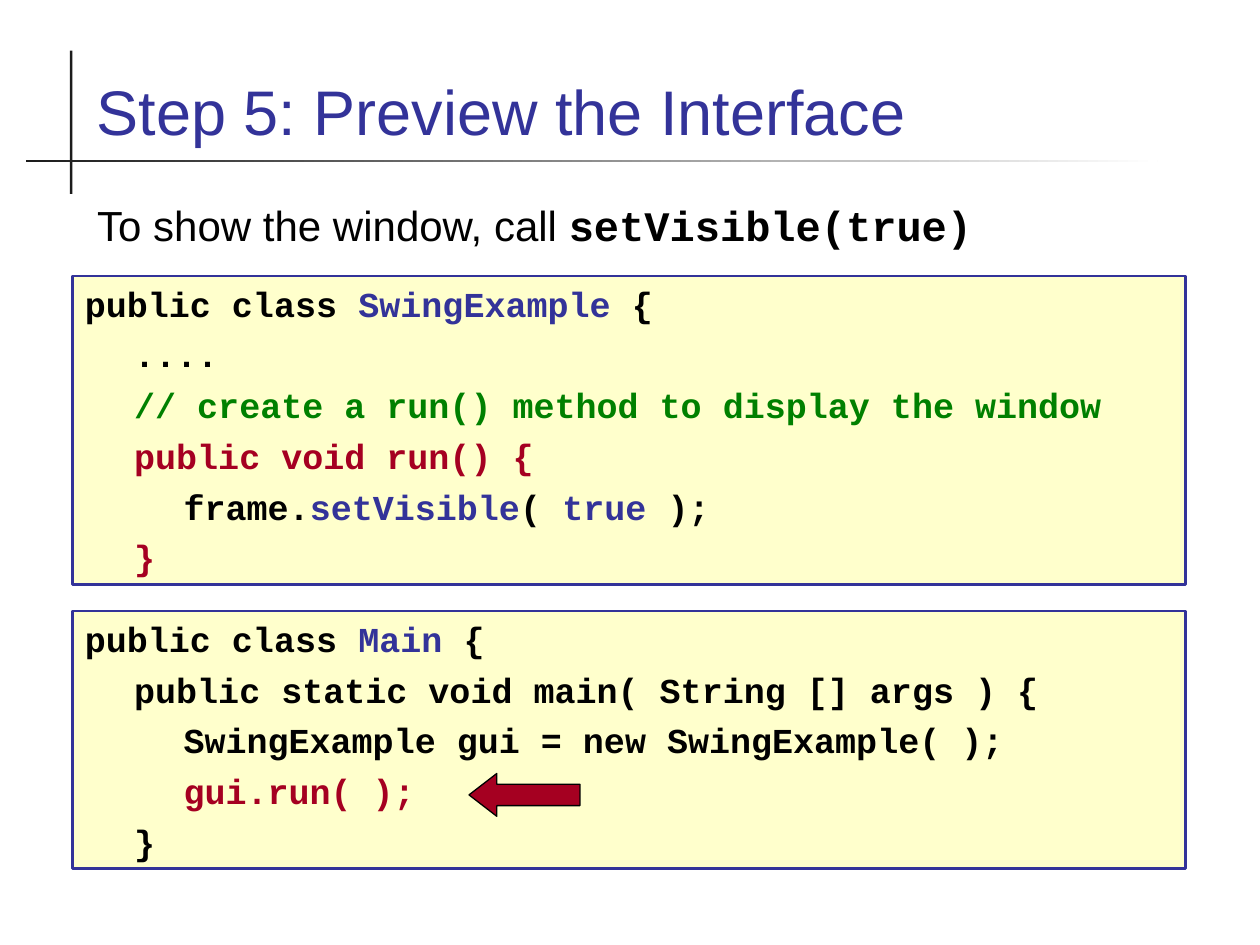
from dataclasses import dataclass

from pptx import Presentation
from pptx.dml.color import RGBColor
from pptx.enum.shapes import MSO_SHAPE
from pptx.enum.text import MSO_ANCHOR, PP_ALIGN
from pptx.util import Pt

RECTANGLE = MSO_SHAPE.RECTANGLE
LEFT_ARROW = MSO_SHAPE.LEFT_ARROW
TOP, BOTTOM = MSO_ANCHOR.TOP, MSO_ANCHOR.BOTTOM
LEFT = PP_ALIGN.LEFT


@dataclass(frozen=True)
class Theme:
    black: RGBColor = RGBColor(0x00, 0x00, 0x00)
    white: RGBColor = RGBColor(0xFF, 0xFF, 0xFF)
    rule: RGBColor = RGBColor(0x1C, 0x1C, 0x1C)
    blue: RGBColor = RGBColor(0x33, 0x33, 0x99)
    red: RGBColor = RGBColor(0xA5, 0x00, 0x21)
    green: RGBColor = RGBColor(0x00, 0x80, 0x00)
    cream: RGBColor = RGBColor(0xFF, 0xFF, 0xCC)
    text_font: str = "Arial"
    code_font: str = "Courier New"
    title_size: float = 36
    body_size: float = 24
    code_size: float = 20
    code_gap: float = 5
    code_indent: float = 28.2


THEME = Theme()


@dataclass(frozen=True)
class Box:
    left: float
    top: float
    width: float
    height: float

    def lengths(self) -> tuple:
        return Pt(self.left), Pt(self.top), Pt(self.width), Pt(self.height)


@dataclass(frozen=True)
class Span:
    text: str
    color: RGBColor = THEME.black


@dataclass(frozen=True)
class CodeLine:
    level: int
    spans: tuple[Span, ...]


@dataclass(frozen=True)
class Listing:
    box: Box
    lines: tuple[CodeLine, ...]


def line(level: int, *spans: Span) -> CodeLine:
    return CodeLine(level, spans)


LISTINGS = (
    Listing(Box(41.4, 157.7, 636.2, 176.4), (
        line(0, Span("public class "), Span("SwingExample", THEME.blue), Span(" {")),
        line(1, Span("....")),
        line(1, Span("// create a run() method to display the window", THEME.green)),
        line(1, Span("public void run() {", THEME.red)),
        line(2, Span("frame."), Span("setVisible", THEME.blue), Span("( "),
             Span("true ", THEME.blue), Span(");")),
        line(1, Span("}", THEME.red)),
    )),
    Listing(Box(41.4, 349.2, 636.2, 147.2), (
        line(0, Span("public class "), Span("Main", THEME.blue), Span(" {")),
        line(1, Span("public static void main( String [] args ) {")),
        line(2, Span("SwingExample gui = new SwingExample( );")),
        line(2, Span("gui.run( );", THEME.red)),
        line(1, Span("}")),
    )),
)


def add_run(paragraph, span: Span, font: str, size: float, bold: bool = False) -> None:
    run = paragraph.add_run()
    run.text = span.text
    run.font.name = font
    run.font.size = Pt(size)
    run.font.bold = bold
    run.font.color.rgb = span.color


def set_frame(frame, anchor: MSO_ANCHOR) -> None:
    frame.word_wrap = True
    frame.vertical_anchor = anchor
    frame.margin_left = frame.margin_right = Pt(7.2)
    frame.margin_top = frame.margin_bottom = Pt(3.6)


def add_filled(slide, preset: MSO_SHAPE, box: Box, fill: RGBColor,
               outline: RGBColor | None = None, weight: float = 0):
    shape = slide.shapes.add_shape(preset, *box.lengths())
    shape.shadow.inherit = False
    shape.fill.solid()
    shape.fill.fore_color.rgb = fill
    if outline is None:
        shape.line.fill.background()
    else:
        shape.line.color.rgb = outline
        shape.line.width = Pt(weight)
    return shape


def add_title_rules(slide) -> None:
    """Draw the upright rule and the level one that fades to the right."""
    add_filled(slide, RECTANGLE, Box(40, 29, 1.4, 81.8), THEME.rule)
    fading_rule = add_filled(slide, RECTANGLE, Box(15, 91.2, 646.5, 1.4), THEME.rule)
    fading_rule.fill.gradient()
    fading_rule.fill.gradient_angle = 0
    for stop, color in zip(fading_rule.fill.gradient_stops, (THEME.rule, THEME.white)):
        stop.color.rgb = color


def set_title(slide, text: str, box: Box) -> None:
    title = slide.shapes.title
    title.left, title.top, title.width, title.height = box.lengths()
    set_frame(title.text_frame, BOTTOM)
    heading = title.text_frame.paragraphs[0]
    heading.alignment = LEFT
    add_run(heading, Span(text, THEME.blue), THEME.text_font, THEME.title_size)


def add_lead(slide, box: Box) -> None:
    lead = slide.shapes.add_textbox(*box.lengths()).text_frame
    set_frame(lead, TOP)
    sentence = lead.paragraphs[0]
    add_run(sentence, Span("To show the window, call "), THEME.text_font, THEME.body_size)
    add_run(sentence, Span("setVisible(true)"), THEME.code_font, THEME.body_size, True)


def add_listing(slide, listing: Listing) -> None:
    panel = add_filled(slide, RECTANGLE, listing.box, THEME.cream, THEME.blue, 1.5)
    frame = panel.text_frame
    set_frame(frame, TOP)
    for index, code in enumerate(listing.lines):
        paragraph = frame.add_paragraph() if index else frame.paragraphs[0]
        paragraph.alignment = LEFT
        paragraph.space_before = Pt(THEME.code_gap if index else 0)
        indent = Pt(code.level * THEME.code_indent)
        paragraph._p.get_or_add_pPr().set("marL", str(int(indent)))
        for span in code.spans:
            add_run(paragraph, span, THEME.code_font, THEME.code_size, True)


def add_call_arrow(slide, box: Box) -> None:
    arrow = add_filled(slide, LEFT_ARROW, box, THEME.red, THEME.black, 0.75)
    arrow.adjustments[0] = 0.5
    arrow.adjustments[1] = 0.65


def main() -> None:
    deck = Presentation()
    deck.slide_width, deck.slide_height = Pt(720), Pt(540)
    slide = deck.slides.add_slide(deck.slide_layouts[5])
    add_title_rules(slide)
    set_title(slide, "Step 5: Preview the Interface", Box(48.2, 19.8, 623.5, 68.4))
    add_lead(slide, Box(48.5, 110.2, 623.5, 46.8))
    for listing in LISTINGS:
        add_listing(slide, listing)
    add_call_arrow(slide, Box(268, 442, 63.4, 24.5))
    deck.save("out.pptx")


if __name__ == "__main__":
    main()
